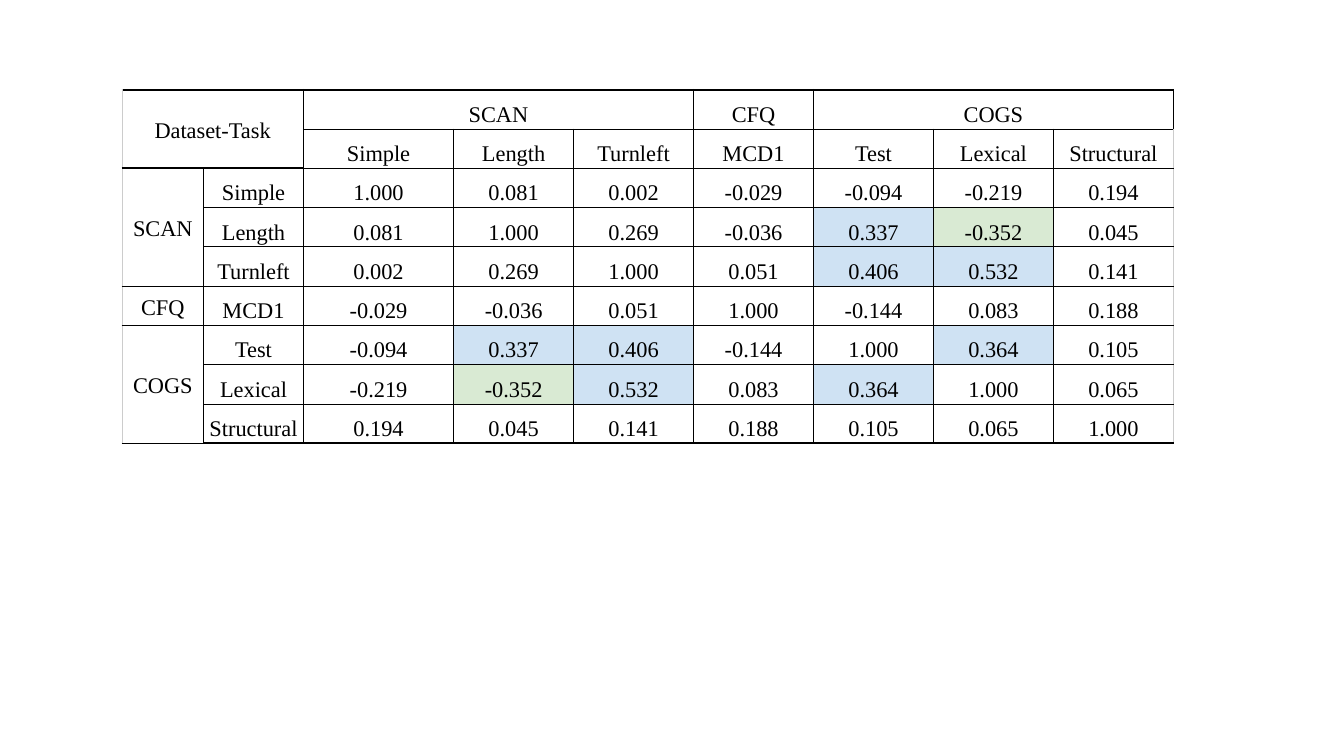
from typing import NamedTuple

from lxml import etree
from pptx import Presentation
from pptx import util as u
from pptx.dml.color import RGBColor
from pptx.enum import text
from pptx.oxml import ns

BLACK, GREY, BLUE, GREEN = "000000", "CCCCCC", "CFE2F3", "D9EAD3"
THIN, THICK = 0.75, 1.5


class Dataset(NamedTuple):
    name: str
    tasks: tuple[str, ...]


class Border(NamedTuple):
    side: str
    color: str
    width: float


DATASETS = (
    Dataset("SCAN", ("Simple", "Length", "Turnleft")),
    Dataset("CFQ", ("MCD1",)),
    Dataset("COGS", ("Test", "Lexical", "Structural")),
)
# Lower triangle of the symmetric correlation matrix
CORRELATIONS = (
    (1.0,),
    (0.081, 1.0),
    (0.002, 0.269, 1.0),
    (-0.029, -0.036, 0.051, 1.0),
    (-0.094, 0.337, 0.406, -0.144, 1.0),
    (-0.219, -0.352, 0.532, 0.083, 0.364, 1.0),
    (0.194, 0.045, 0.141, 0.188, 0.105, 0.065, 1.0),
)
HEAD = 2  # header rows and header columns
SIZE = HEAD + len(CORRELATIONS)
LAST = SIZE - 1
COL_WIDTHS = (0.81, 0.99, 1.49) + (1.19,) * 6
ROW_HEIGHT = 0.39


def rgb(color: str) -> RGBColor:
    return RGBColor.from_string(color)


def add_border(cell, border: Border) -> None:
    ln = etree.SubElement(cell._tc.get_or_add_tcPr(), ns.qn(f"a:ln{border.side}"),
                          w=str(u.Pt(border.width)))
    fill = etree.SubElement(ln, ns.qn("a:solidFill"))
    etree.SubElement(fill, ns.qn("a:srgbClr"), val=border.color)


def borders_at(row: int, col: int) -> tuple[Border, ...]:
    under_corner = col < HEAD
    top = THICK if row == 0 or (row == HEAD and under_corner) else THIN
    bottom = THICK if row == LAST or (row == HEAD - 1 and under_corner) else THIN
    return (
        Border("L", GREY if col == 0 else BLACK, THIN),
        Border("R", GREY if col == LAST and row > 0 else BLACK, THIN),
        Border("T", BLACK, top),
        Border("B", BLACK, bottom),
    )


def write(cell, words: str, anchor=text.MSO_ANCHOR.BOTTOM) -> None:
    cell.vertical_anchor = anchor
    p = cell.text_frame.paragraphs[0]
    p.text = words
    p.alignment = text.PP_ALIGN.CENTER
    p.line_spacing = 1.15
    font = p.runs[0].font
    font.name, font.size = "Times New Roman", u.Pt(16)
    font.color.rgb = rgb(BLACK)


def paint(cell, color: str) -> None:
    cell.fill.solid()
    cell.fill.fore_color.rgb = rgb(color)


prs = Presentation()
prs.slide_width, prs.slide_height = u.Inches(13.33), u.Inches(7.5)
s = prs.slides.add_slide(prs.slide_layouts[6])

# Table grid
table = s.shapes.add_table(SIZE, SIZE, u.Inches(1.21), u.Inches(0.89),
                           u.Inches(sum(COL_WIDTHS)), u.Inches(ROW_HEIGHT * SIZE)).table
table.first_row = table.horz_banding = False
for column, width in zip(table.columns, COL_WIDTHS):
    column.width = u.Inches(width)
for table_row in table.rows:
    table_row.height = u.Inches(ROW_HEIGHT)
for row in range(SIZE):
    for col in range(SIZE):
        cell = table.cell(row, col)
        cell.margin_left = cell.margin_right = u.Inches(0.03)
        cell.margin_top = cell.margin_bottom = u.Inches(0.02)
        for border in borders_at(row, col):
            add_border(cell, border)
        cell.fill.background()

# Corner, dataset and task headings on both axes
corner = table.cell(0, 0)
corner.merge(table.cell(HEAD - 1, HEAD - 1))
write(corner, "Dataset-Task", text.MSO_ANCHOR.MIDDLE)
start = HEAD
for dataset in DATASETS:
    end = start + len(dataset.tasks) - 1
    across, down = table.cell(0, start), table.cell(start, 0)
    if end > start:
        across.merge(table.cell(0, end))
        down.merge(table.cell(end, 0))
    write(across, dataset.name)
    write(down, dataset.name, text.MSO_ANCHOR.MIDDLE)
    for i, task in enumerate(dataset.tasks, start):
        write(table.cell(1, i), task)
        write(table.cell(i, 1), task)
    start = end + 1

# Correlations, mirrored over the diagonal; strong ones are tinted
for i, values in enumerate(CORRELATIONS, HEAD):
    for j, value in enumerate(values, HEAD):
        for row, col in {(i, j), (j, i)}:
            cell = table.cell(row, col)
            write(cell, f"{value:.3f}")
            if 0.3 < abs(value) < 1:
                paint(cell, BLUE if value > 0 else GREEN)

prs.save("out.pptx")
